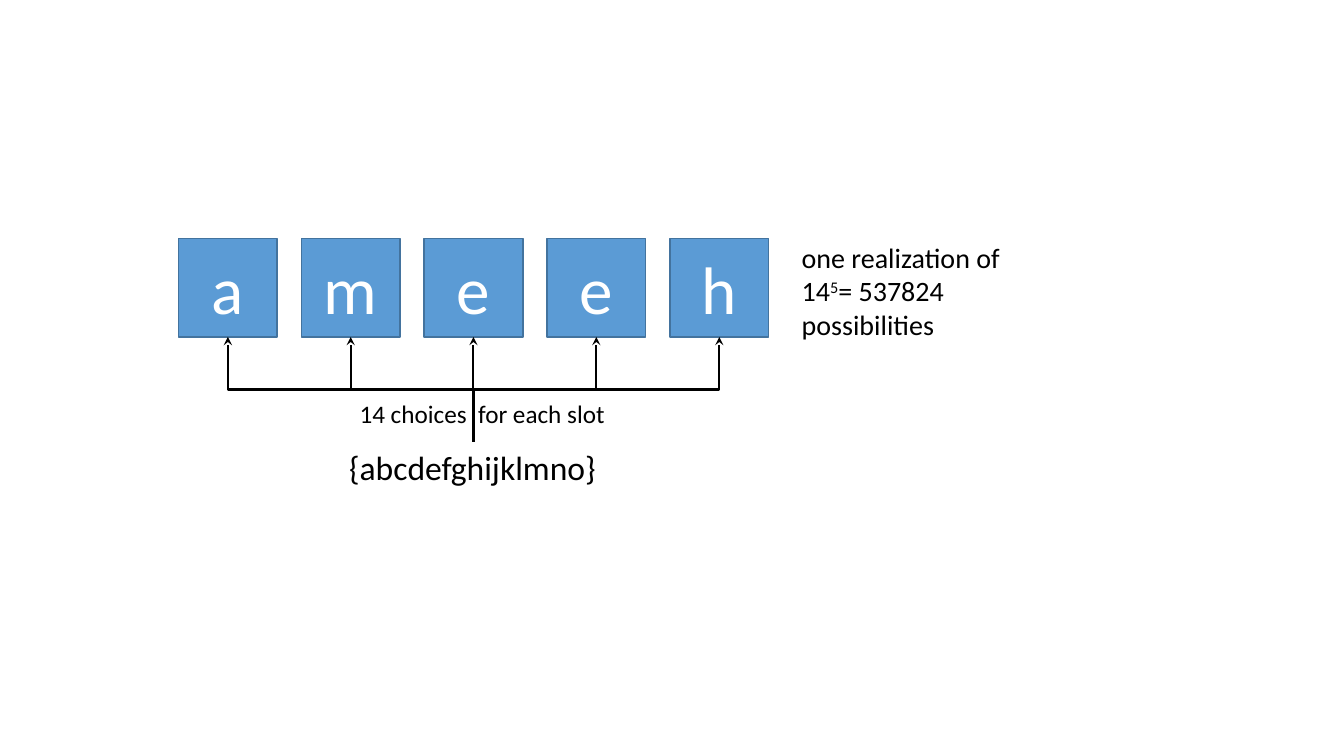
from dataclasses import dataclass

from lxml.etree import SubElement
from pptx import Presentation
from pptx.dml.color import RGBColor
from pptx.enum.shapes import MSO_CONNECTOR, MSO_SHAPE
from pptx.enum.text import MSO_ANCHOR, MSO_AUTO_SIZE, PP_ALIGN
from pptx.oxml.ns import qn
from pptx.shapes.autoshape import Shape
from pptx.shapes.connector import Connector
from pptx.slide import Slide
from pptx.text.text import Font
from pptx.util import Emu, Pt

EMU_PER_PX = 9525
FONT = "Calibri"
BLACK, WHITE = "000000", "FFFFFF"
SLOT_FILL, SLOT_LINE = "5B9BD5", "43739E"

WORD = "ameeh"
SLOT_LEFT, SLOT_TOP, SLOT_SIZE, SLOT_PITCH = 170, 227, 94, 117
TOP_SITE, BOTTOM_SITE = 0, 2


@dataclass(frozen=True)
class Piece:
    """A stretch of text with an optional raise (1/1000 %) or tracking (1/100 pt)."""
    text: str
    baseline: int = 0
    tracking: int = 0


@dataclass(frozen=True)
class Caption:
    left: int
    top: int
    width: int
    height: int
    size: int
    pieces: tuple[Piece, ...]


ALPHABET = Caption(323, 421, 256, 48, 24, (Piece("{abcdefghijklmno}"),))
CHOICES = Caption(333, 375, 270, 38, 18, (
    Piece("14 choices"), Piece(" ", tracking=400), Piece("for each slot")))
POSSIBILITIES = Caption(754, 224, 228, 107, 20, (
    Piece("one realization of 14"), Piece("5", baseline=30000),
    Piece("= 537824 possibilities")))


def px(length: int) -> Emu:
    return Emu(length * EMU_PER_PX)


def color(hex_code: str) -> RGBColor:
    return RGBColor.from_string(hex_code)


def style_font(font: Font, size: int, hex_code: str) -> None:
    font.name = FONT
    font.size = Pt(size)
    font.color.rgb = color(hex_code)


def add_slot(slide: Slide, index: int, letter: str) -> Shape:
    slot = slide.shapes.add_shape(
        MSO_SHAPE.RECTANGLE, px(SLOT_LEFT + index * SLOT_PITCH), px(SLOT_TOP),
        px(SLOT_SIZE), px(SLOT_SIZE))
    slot.shadow.inherit = False
    slot.fill.solid()
    slot.fill.fore_color.rgb = color(SLOT_FILL)
    slot.line.color.rgb = color(SLOT_LINE)
    slot.line.width = Pt(1)
    frame = slot.text_frame
    frame.text = letter
    frame.vertical_anchor = MSO_ANCHOR.MIDDLE
    paragraph = frame.paragraphs[0]
    paragraph.alignment = PP_ALIGN.CENTER
    style_font(paragraph.runs[0].font, 48, WHITE)
    return slot


def add_caption(slide: Slide, caption: Caption) -> Shape:
    box = slide.shapes.add_textbox(px(caption.left), px(caption.top),
                                   px(caption.width), px(caption.height))
    frame = box.text_frame
    frame.word_wrap = True
    frame.auto_size = MSO_AUTO_SIZE.SHAPE_TO_FIT_TEXT
    for piece in caption.pieces:
        run = frame.paragraphs[0].add_run()
        run.text = piece.text
        style_font(run.font, caption.size, BLACK)
        properties = run._r.get_or_add_rPr()
        if piece.baseline:
            properties.set("baseline", str(piece.baseline))
        if piece.tracking:
            properties.set("spc", str(piece.tracking))
    return box


def add_branch(slide: Slide, source: Shape, slot: Shape) -> Connector:
    """Glue an elbow arrow that leaves the source upwards and enters the slot from below."""
    start_x, start_y = source.left + source.width // 2, source.top
    end_x, end_y = slot.left + slot.width // 2, slot.top + slot.height
    branch = slide.shapes.add_connector(MSO_CONNECTOR.ELBOW, start_x, start_y, end_x, end_y)
    branch.begin_connect(source, TOP_SITE)
    branch.end_connect(slot, BOTTOM_SITE)

    # An elbow runs sideways first, so it is laid out on its side and turned upright.
    rise, reach = start_y - end_y, abs(end_x - start_x)
    branch.left = Emu((start_x + end_x - rise) // 2)
    branch.top = Emu((start_y + end_y - reach) // 2)
    branch.width, branch.height = Emu(rise), Emu(reach)
    goes_left = end_x < start_x
    frame = branch._element.spPr.find(qn("a:xfrm"))
    frame.set("rot", str((270 if goes_left else 90) * 60000))
    frame.set("flipH", "0" if goes_left else "1")
    frame.set("flipV", "1")

    branch.line.color.rgb = color(BLACK)
    branch.line.width = Pt(1.5)
    SubElement(branch.line._get_or_add_ln(), qn("a:tailEnd"), type="stealth")
    SubElement(branch._element.spPr, qn("a:effectLst"))
    return branch


def main() -> None:
    presentation = Presentation()
    presentation.slide_width, presentation.slide_height = px(1280), px(720)
    slide = presentation.slides.add_slide(presentation.slide_layouts[6])
    slots = [add_slot(slide, index, letter) for index, letter in enumerate(WORD)]
    alphabet = add_caption(slide, ALPHABET)
    for slot in slots:
        add_branch(slide, alphabet, slot)
    add_caption(slide, CHOICES)
    add_caption(slide, POSSIBILITIES)
    presentation.save("out.pptx")


if __name__ == "__main__":
    main()
